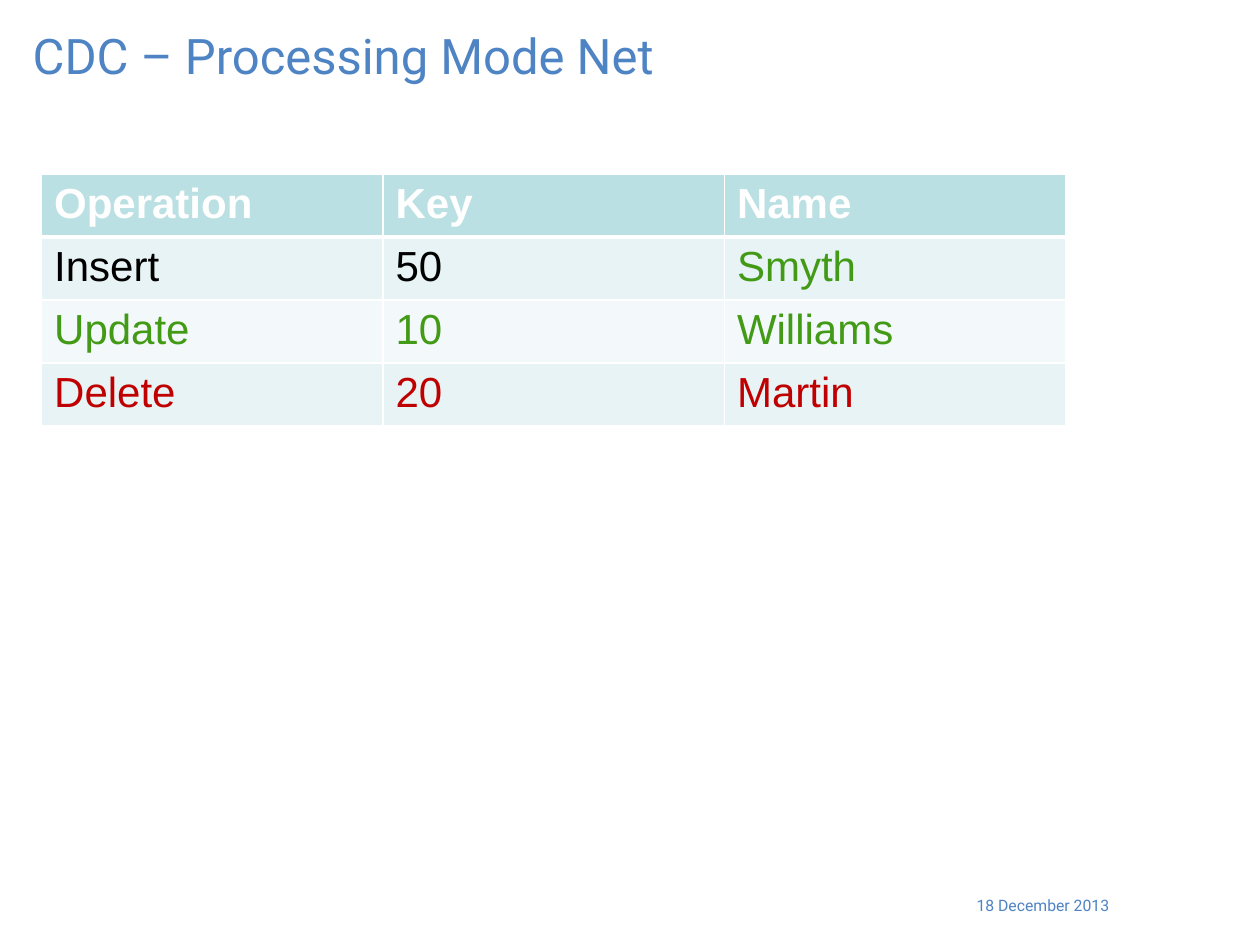
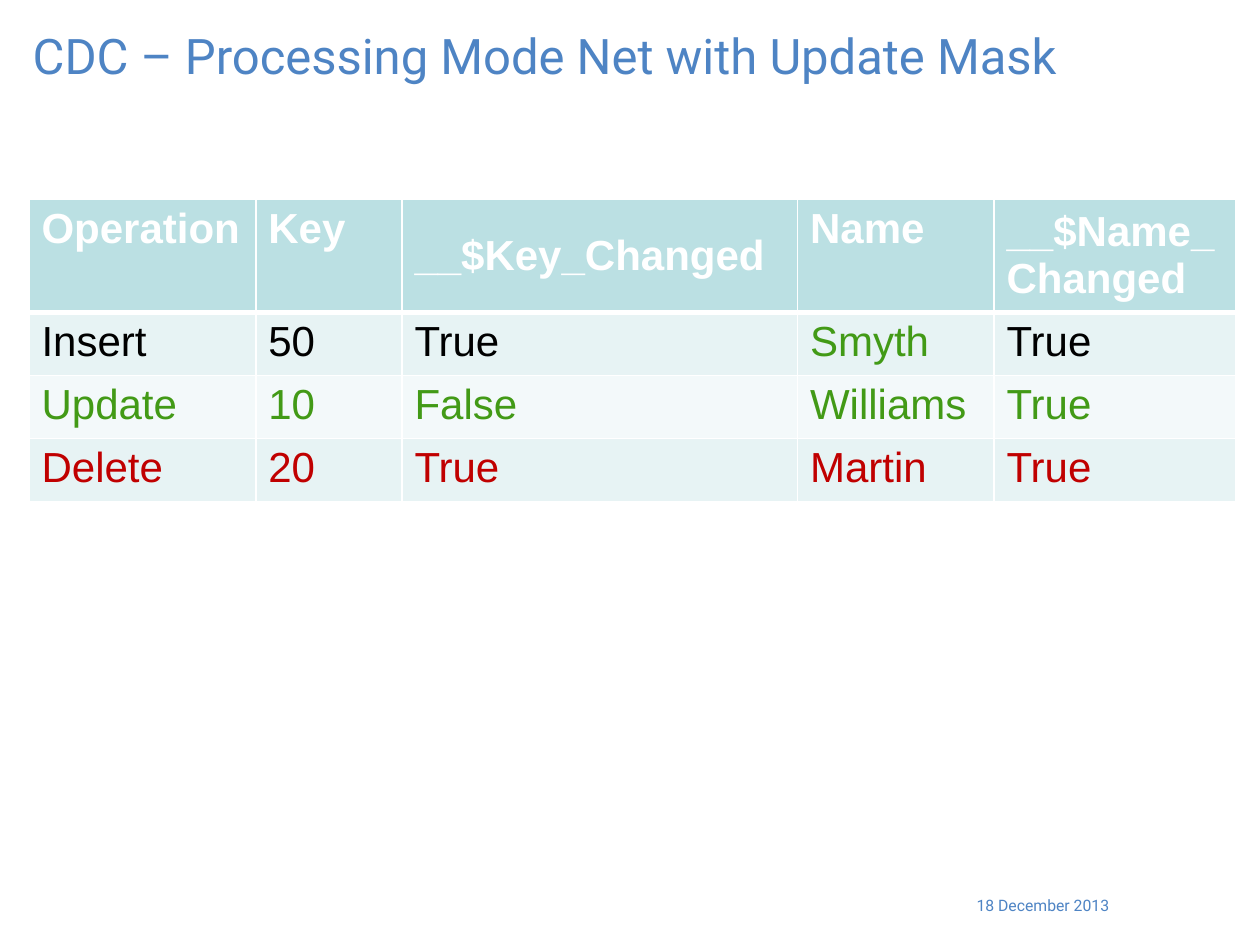
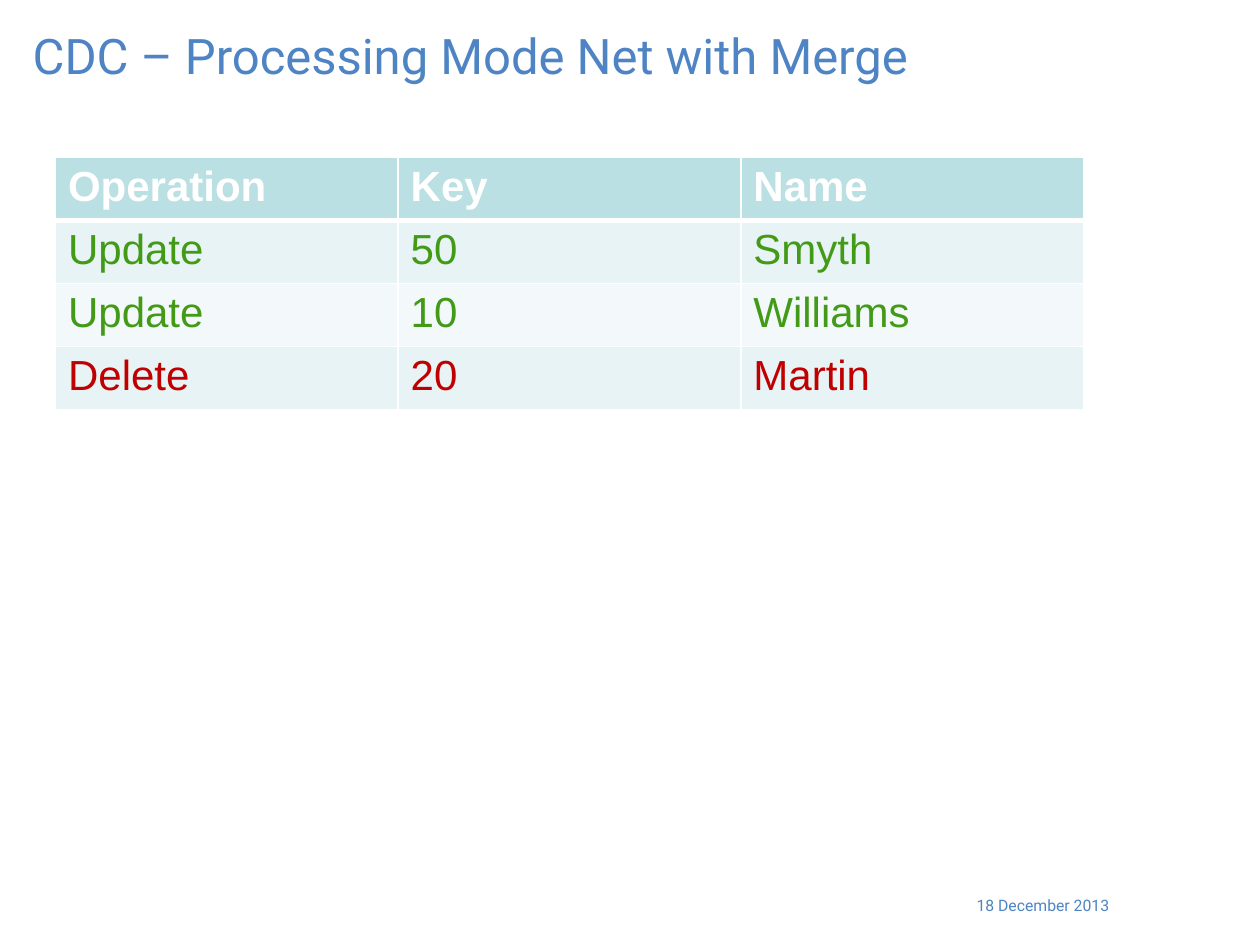
import pptx
import pptx.dml.color
import pptx.enum.text
import pptx.oxml
import pptx.oxml.ns
import pptx.util
from pptx.util import Inches

COLORS = {
    "blue": "4E84C4",
    "header": "BBE0E3",
    "band_dark": "E7F3F4",
    "band_light": "F3F9FA",
    "white": "FFFFFF",
    "black": "000000",
    "green": "429A16",
    "red": "C00000",
}
OPERATION_COLORS = {"Insert": "black", "Update": "green", "Delete": "red"}
ANCHOR = pptx.enum.text.MSO_ANCHOR
ALIGN = pptx.enum.text.PP_ALIGN


def rgb(name):
    return pptx.dml.color.RGBColor.from_string(COLORS[name])


def write(tf, text, font="Arial", size=24, color="black", bold=False, align=ALIGN.LEFT):
    p = tf.paragraphs[0]
    p.alignment = align
    r = p.add_run()
    r.text = text
    r.font.name = font
    r.font.size = pptx.util.Pt(size)
    r.font.bold = bold
    r.font.color.rgb = rgb(color)


def set_borders(cell, **widths):
    """Draw white cell borders; widths are points keyed by side L, R, T, B."""
    tcPr = cell._tc.get_or_add_tcPr()
    for side in "LRTB":
        tcPr.append(pptx.oxml.parse_xml(
            f'<a:ln{side} {pptx.oxml.ns.nsdecls("a")} w="{pptx.util.Pt(widths.get(side, 1))}">'
            f'<a:solidFill><a:srgbClr val="{COLORS["white"]}"/></a:solidFill></a:ln{side}>'))


class Deck:
    """Holds the shared style and the current slide."""

    def __init__(self):
        self.prs = pptx.Presentation()
        self.prs.slide_width = Inches(10)
        self.prs.slide_height = Inches(7.5)
        self.s = None

    def add_slide(self, title):
        self.s = self.prs.slides.add_slide(self.prs.slide_layouts[5])
        self.title(title)
        self.date("18 December 2013")

    def title(self, text):
        sp = self.s.shapes.title
        sp.left, sp.top = Inches(0.16), Inches(0.15)
        sp.width, sp.height = Inches(9.65), Inches(0.67)
        tf = sp.text_frame
        tf.auto_size = pptx.enum.text.MSO_AUTO_SIZE.NONE
        tf.vertical_anchor = ANCHOR.TOP
        write(tf, text, font="Roboto", size=28, color="blue")

    def date(self, text):
        sp = self.s.shapes.add_textbox(Inches(7.35), Inches(7.06), Inches(1.55), Inches(0.35))
        sp.text_frame.word_wrap = True
        write(sp.text_frame, text, font="Roboto", size=9, color="blue", align=ALIGN.RIGHT)

    def table(self, left, top, col_widths, row_heights, rows):
        table = self.s.shapes.add_table(
            len(rows), len(col_widths), Inches(left), Inches(top),
            Inches(sum(col_widths)), Inches(sum(row_heights))).table
        for column, width in zip(table.columns, col_widths):
            column.width = Inches(width)
        for row, height in zip(table.rows, row_heights):
            row.height = Inches(height)
        header = rows[0]
        for j, text in enumerate(header):
            anchor = ANCHOR.MIDDLE if "$" in text else ANCHOR.TOP
            self.cell(table.cell(0, j), text, "header", "white", bold=True,
                      anchor=anchor, borders={"B": 3})
        for i, values in enumerate(rows[1:], start=1):
            fill = "band_dark" if i % 2 else "band_light"
            for j, text in enumerate(values):
                color = OPERATION_COLORS[values[0]]
                if header[j] == "Name" and color == "black":
                    color = "green"
                self.cell(table.cell(i, j), text, fill, color,
                          borders={"T": 3} if i == 1 else {})

    def cell(self, cell, text, fill, color, borders, bold=False, anchor=ANCHOR.TOP):
        set_borders(cell, **borders)
        cell.fill.solid()
        cell.fill.fore_color.rgb = rgb(fill)
        cell.vertical_anchor = anchor
        write(cell.text_frame, text, color=color, bold=bold)


def main():
    deck = Deck()

    deck.add_slide("CDC – Processing Mode Net")
    deck.table(0.33, 1.38, [2.71] * 3, [0.41] * 4, [
        ["Operation", "Key", "Name"],
        ["Insert", "50", "Smyth"],
        ["Update", "10", "Williams"],
        ["Delete", "20", "Martin"],
    ])

    deck.add_slide("CDC – Processing Mode Net with Update Mask")
    deck.table(0.23, 1.58, [1.8, 1.16, 3.14, 1.56, 1.92], [0.9] + [0.5] * 3, [
        ["Operation", "Key", "__$Key_Changed", "Name", "__$Name_Changed"],
        ["Insert", "50", "True", "Smyth", "True"],
        ["Update", "10", "False", "Williams", "True"],
        ["Delete", "20", "True", "Martin", "True"],
    ])

    deck.add_slide("CDC – Processing Mode Net with Merge")
    deck.table(0.44, 1.25, [2.72] * 3, [0.41] * 4, [
        ["Operation", "Key", "Name"],
        ["Update", "50", "Smyth"],
        ["Update", "10", "Williams"],
        ["Delete", "20", "Martin"],
    ])

    deck.prs.save("out.pptx")


if __name__ == "__main__":
    main()
